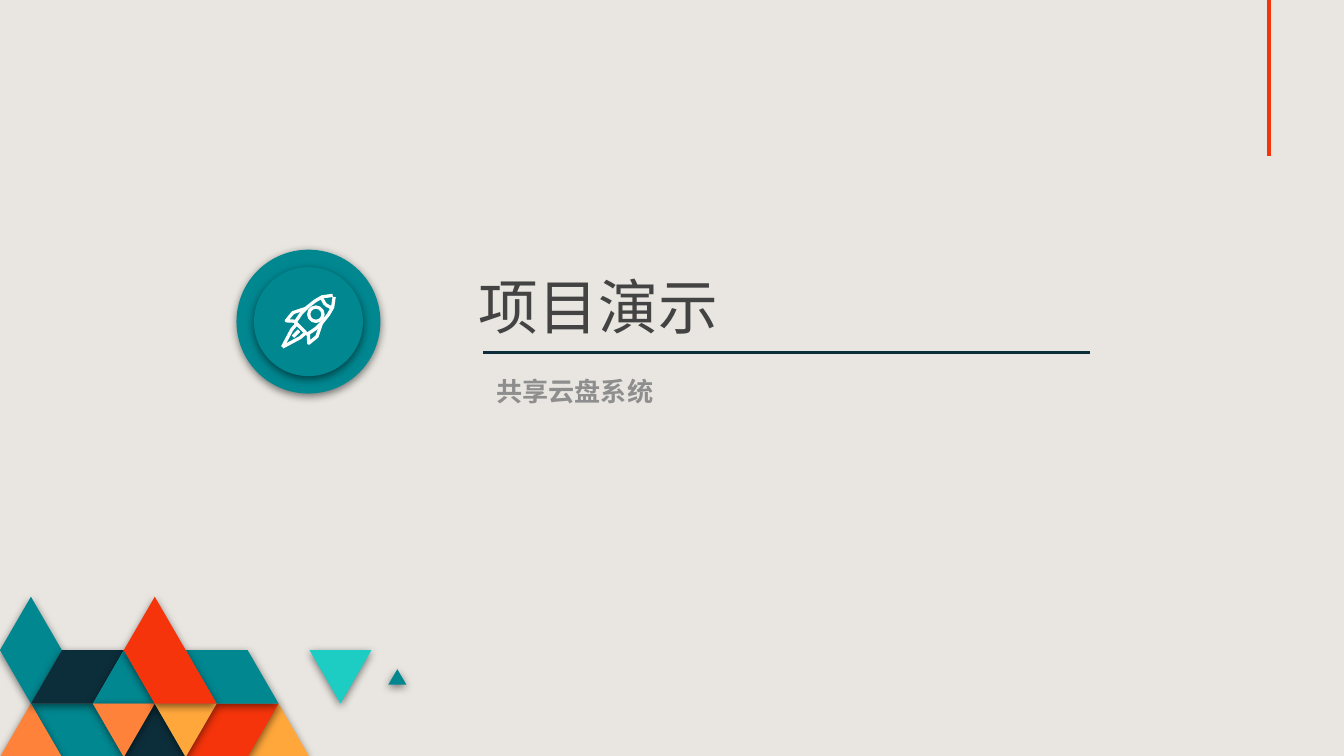
from math import sqrt

from lxml.etree import SubElement
from pptx import Presentation
from pptx.dml.color import RGBColor
from pptx.enum.shapes import MSO_CONNECTOR, MSO_SHAPE
from pptx.enum.text import MSO_ANCHOR, MSO_AUTO_SIZE, PP_ALIGN
from pptx.oxml.ns import qn
from pptx.util import Cm, Pt

COLORS = {
    "bg": "E9E6E1", "teal": "018790", "navy": "0C2E3A", "red": "F5340B",
    "orange": "FF823B", "amber": "FFA73B", "aqua": "1DCDC3", "white": "FFFFFF",
    "title": "434343", "subtitle": "8E8E8E", "shadow": "000000",
}

TITLE = "项目演示"
SUBTITLE = "共享云盘系统"

# Corners of each tile in half triangle widths and row heights
TILES = {
    "up": [(0, 1), (1, 0), (2, 1)],
    "down": [(0, 0), (2, 0), (1, 1)],
    "slash": [(1, 0), (3, 0), (2, 1), (0, 1)],
    "backslash": [(0, 0), (2, 0), (3, 1), (1, 1)],
    "diamond": [(1, 0), (2, 1), (1, 2), (0, 1)],
    "peak": [(1, 0), (3, 2), (1, 2), (0, 1)],
}
# Tile, colour, column, row, from back to front
MOSAIC = [
    ("up", "amber", 8, 2), ("slash", "red", 6, 2), ("backslash", "teal", 1, 2),
    ("up", "orange", 0, 2), ("up", "navy", 4, 2), ("backslash", "teal", 6, 1),
    ("down", "aqua", 10, 1), ("diamond", "teal", 0, 0), ("slash", "navy", 1, 1),
    ("up", "teal", 3, 1), ("down", "orange", 3, 2), ("down", "amber", 5, 2),
    ("peak", "red", 4, 0),
]
MOSAIC_TOP, HALF_W, ROW_H = 11.28, 1.17 / 2, 1.01

BADGE_X, BADGE_Y = 5.83, 6.08
BADGE_DIAMETERS = [2.72, 2.06]

# Half of the rocket in cm: distance along its axis from the tail, and from the axis
ROCKET_TAIL_X, ROCKET_TAIL_Y = 5.34, 6.56
ROCKET_HALF = {
    "body": [(0.5, 0), (0.5, 0.16), (0.7, 0.2), (0.88, 0.2), (1.05, 0.18),
             (1.2, 0.14), (1.36, 0.02)],
    "nose band": [(1.14, 0), (1.18, 0.14)],
    "fin": [(0.84, 0.2), (0.6, 0.32), (0.4, 0.3), (0.52, 0.17)],
    "flame": [(0.5, 0.12), (0.36, 0.11), (0, 0)],
    "flame core": [(0.44, 0), (0.28, 0)],
}


def rgb(name):
    return RGBColor.from_string(COLORS[name])


def add_shadow(sp):
    effects = SubElement(sp._element.spPr, qn("a:effectLst"))
    outer = SubElement(effects, qn("a:outerShdw"), blurRad=str(Pt(4.5)),
                       dist=str(Pt(1.5)), dir="5400000", algn="bl", rotWithShape="0")
    color = SubElement(outer, qn("a:srgbClr"), val=COLORS["shadow"])
    SubElement(color, qn("a:alpha"), val="50000")


def paint(sp, color):
    sp.fill.solid()
    sp.fill.fore_color.rgb = rgb(color)
    sp.line.fill.background()
    add_shadow(sp)


def stroke(sp, color, width):
    sp.fill.background()
    sp.line.color.rgb = rgb(color)
    sp.line.width = Pt(width)
    sp.shadow.inherit = False


def add_outline(s, points, close=True):
    start, *rest = [(Cm(x), Cm(y)) for x, y in points]
    builder = s.shapes.build_freeform(*start, scale=1.0)
    builder.add_line_segments(rest, close=close)
    return builder.convert_to_shape()


def add_tile(s, tile, color, left, top, half_w=HALF_W, row_h=ROW_H):
    points = [(left + c * half_w, top + r * row_h) for c, r in TILES[tile]]
    paint(add_outline(s, points), color)


def add_disc(s, x, y, diameter):
    radius = diameter / 2
    return s.shapes.add_shape(MSO_SHAPE.OVAL, Cm(x - radius), Cm(y - radius),
                              Cm(diameter), Cm(diameter))


def add_rocket(s):
    """Mirror each half outline about an axis that climbs at 45 degrees."""
    for half in ROCKET_HALF.values():
        for side in (-1, 1):
            points = [(ROCKET_TAIL_X + (along + side * off) / sqrt(2),
                       ROCKET_TAIL_Y - (along - side * off) / sqrt(2))
                      for along, off in half]
            stroke(add_outline(s, points, close=False), "white", 1.75)
    stroke(add_disc(s, 5.97, 5.94, 0.27), "white", 1.75)


def add_rule(s, x1, y1, x2, y2, color, width):
    line = s.shapes.add_connector(MSO_CONNECTOR.STRAIGHT, Cm(x1), Cm(y1), Cm(x2), Cm(y2))
    line.line.color.rgb = rgb(color)
    line.line.width = Pt(width)
    SubElement(line._element.spPr, qn("a:effectLst"))


def write(sp, text, *, font, size, color, bold=False, align=PP_ALIGN.LEFT,
          anchor=MSO_ANCHOR.TOP, fit=MSO_AUTO_SIZE.NONE):
    tf = sp.text_frame
    tf.word_wrap = True
    tf.auto_size = fit
    tf.vertical_anchor = anchor
    p = tf.paragraphs[0]
    p.alignment = align
    r = p.add_run()
    r.text = text
    r.font.name, r.font.size, r.font.bold = font, Pt(size), bold
    r.font.color.rgb = rgb(color)


def main():
    prs = Presentation()
    prs.slide_width, prs.slide_height = Cm(25.4), Cm(14.29)
    s = prs.slides.add_slide(prs.slide_layouts[5])
    s.background.fill.solid()
    s.background.fill.fore_color.rgb = rgb("bg")

    for tile, color, column, row in MOSAIC:
        add_tile(s, tile, color, column * HALF_W, MOSAIC_TOP + row * ROW_H)
    add_tile(s, "up", "teal", 7.34, 12.65, half_w=0.17, row_h=0.29)
    add_rule(s, 23.98, 0, 23.98, 2.95, "red", 2.25)

    for diameter in BADGE_DIAMETERS:
        paint(add_disc(s, BADGE_X, BADGE_Y, diameter), "teal")
    add_rocket(s)

    add_rule(s, 9.13, 6.67, 20.6, 6.67, "navy", 1.5)
    title = s.shapes.title
    title.left, title.top, title.width, title.height = Cm(6.86), Cm(5.05), Cm(6.96), Cm(1.65)
    tf = title.text_frame
    tf.margin_left = tf.margin_right = tf.margin_top = tf.margin_bottom = Cm(0.25)
    write(title, TITLE, font="Roboto Condensed", size=32, color="title",
          align=PP_ALIGN.RIGHT, anchor=MSO_ANCHOR.BOTTOM)
    box = s.shapes.add_textbox(Cm(9.13), Cm(6.97), Cm(4.5), Cm(0.85))
    write(box, SUBTITLE, font="Arial", size=14, color="subtitle", bold=True,
          fit=MSO_AUTO_SIZE.SHAPE_TO_FIT_TEXT)

    prs.save("out.pptx")


if __name__ == "__main__":
    main()
